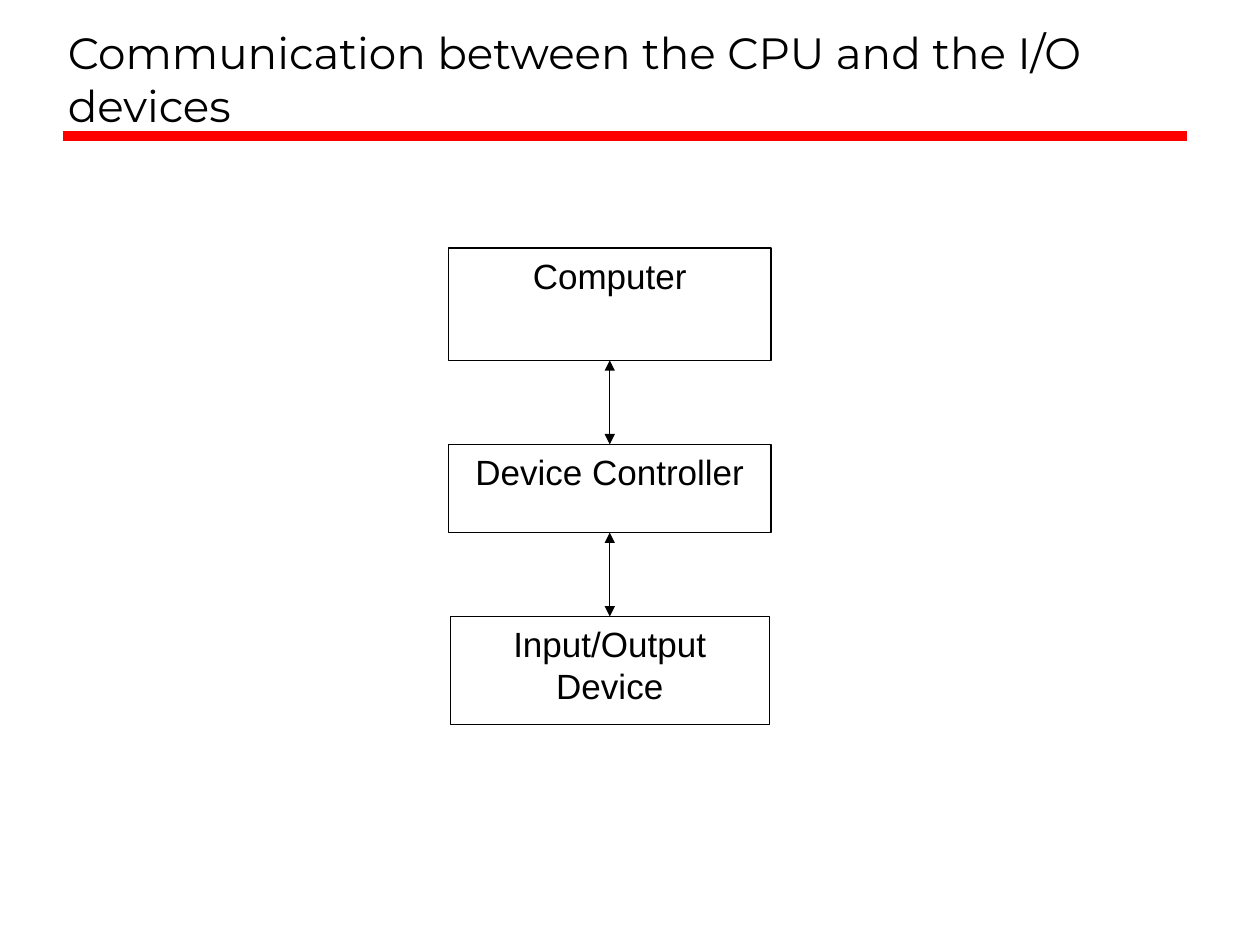
from lxml import etree
from pptx import Presentation
from pptx.dml.color import RGBColor
from pptx.enum import shapes, text
from pptx.oxml.ns import qn
from pptx.util import Pt

BLACK, WHITE, RED = "000000", "FFFFFF", "FF0000"


def color(hex_code):
    return RGBColor.from_string(hex_code)


def write(shape, words, font, size, align, anchor):
    frame = shape.text_frame
    frame.word_wrap = True
    frame.vertical_anchor = anchor
    frame.margin_left = frame.margin_right = Pt(7.2)
    frame.margin_top = frame.margin_bottom = Pt(3.6)
    frame.text = words
    paragraph = frame.paragraphs[0]
    paragraph.alignment = align
    paragraph.font.name = font
    paragraph.font.size = Pt(size)
    paragraph.font.color.rgb = color(BLACK)


def add_line(slide, x1, y1, x2, y2, hex_code, weight):
    line = slide.shapes.add_connector(
        shapes.MSO_CONNECTOR.STRAIGHT, Pt(x1), Pt(y1), Pt(x2), Pt(y2))
    line.line.color.rgb = color(hex_code)
    line.line.width = Pt(weight)
    etree.SubElement(line._element.spPr, qn("a:effectLst"))
    return line


def add_heading(slide, left, top, width, height):
    # Red rule under the title
    add_line(slide, left + 4.3, top + 65.5, left + 646.6, top + 65.5, RED, 6)
    # Title
    title = slide.shapes.add_textbox(Pt(left), Pt(top), Pt(width), Pt(height))
    write(title, "Communication between the CPU and the I/O devices",
          "Montserrat", 25, text.PP_ALIGN.LEFT, text.MSO_ANCHOR.BOTTOM)


def add_stage(slide, label, left, top, width, height):
    stage = slide.shapes.add_shape(
        shapes.MSO_SHAPE.RECTANGLE, Pt(left), Pt(top), Pt(width), Pt(height))
    stage.shadow.inherit = False
    stage.fill.solid()
    stage.fill.fore_color.rgb = color(WHITE)
    stage.line.color.rgb = color(BLACK)
    stage.line.width = Pt(0.75)
    write(stage, label, "Arial", 20, text.PP_ALIGN.CENTER, text.MSO_ANCHOR.TOP)
    return stage


def link_stages(slide, upper, lower):
    link = add_line(slide, 0, 0, 0, 0, BLACK, 0.75)
    link.begin_connect(upper, 2)
    link.end_connect(lower, 0)
    # Arrowheads at both ends
    outline = link.line._get_or_add_ln()
    for end in ("a:headEnd", "a:tailEnd"):
        etree.SubElement(outline, qn(end), type="triangle")


def add_io_chain(slide, left, top, width, gap):
    # Stages from the computer down to the device: label, height, side inset
    chain = [("Computer", 64.1, 0),
             ("Device Controller", 50.4, 0),
             ("Input/Output Device", 61.9, 1)]
    stages = []
    for label, height, inset in chain:
        stages.append(add_stage(slide, label, left + inset, top,
                                width - 2 * inset, height))
        top += height + gap
    # Two-way links between neighbours
    for upper, lower in zip(stages, stages[1:]):
        link_stages(slide, upper, lower)


def main():
    deck = Presentation()
    deck.slide_width, deck.slide_height = Pt(720), Pt(540)
    slide = deck.slides.add_slide(deck.slide_layouts[6])
    add_heading(slide, 31.7, 12.2, 645.8, 66.2)
    add_io_chain(slide, 256.3, 141.8, 184.3, 48)
    deck.save("out.pptx")


if __name__ == "__main__":
    main()
